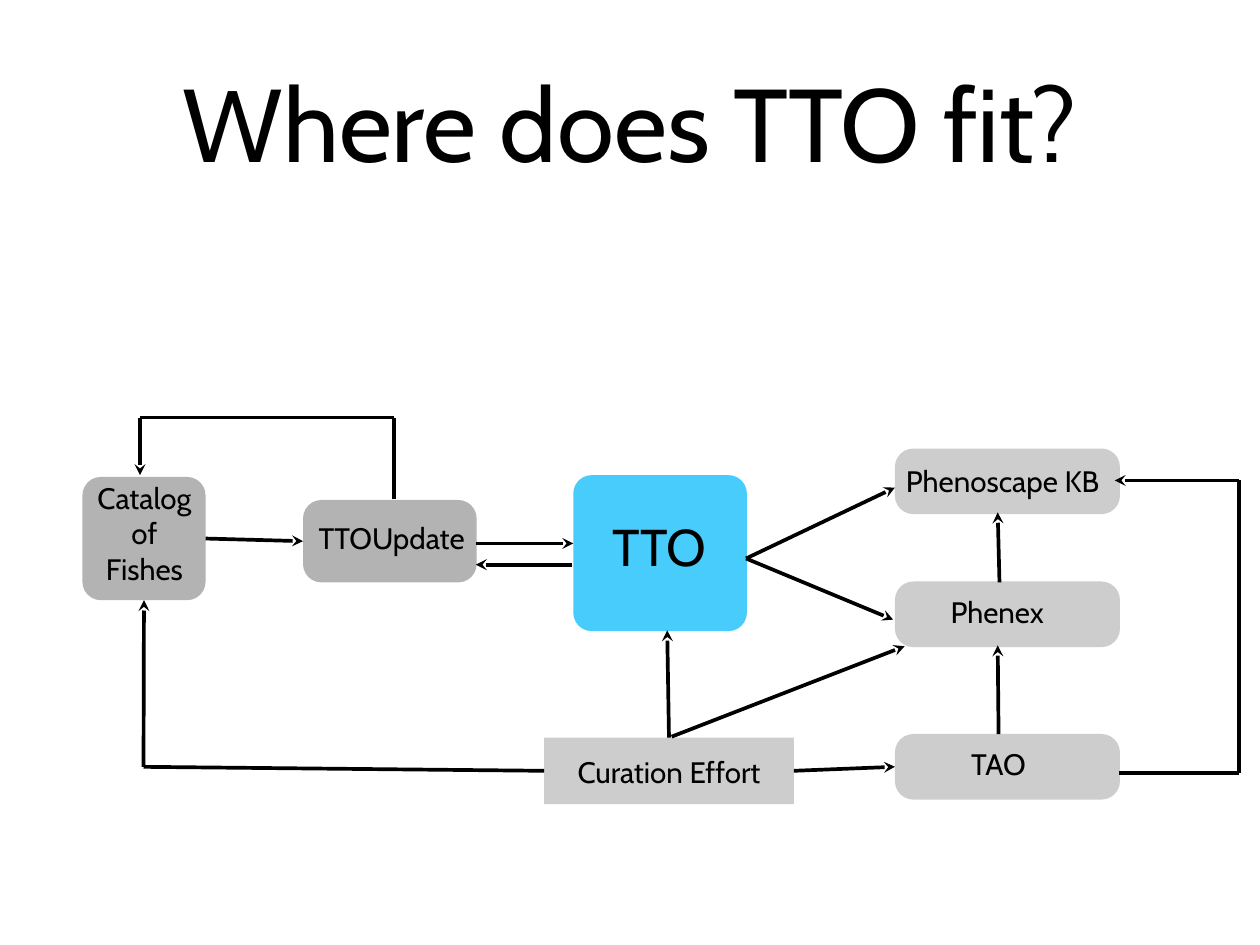
from pptx import Presentation
from pptx.dml.color import RGBColor
from pptx.enum.shapes import MSO_CONNECTOR, MSO_SHAPE
from pptx.enum.text import MSO_ANCHOR, MSO_AUTO_SIZE, PP_ALIGN
from pptx.oxml.ns import qn
from pptx.util import Inches, Pt
from lxml import etree

ROUND, RECT = MSO_SHAPE.ROUNDED_RECTANGLE, MSO_SHAPE.RECTANGLE
STRAIGHT = MSO_CONNECTOR.STRAIGHT
MIDDLE, CENTER = MSO_ANCHOR.MIDDLE, PP_ALIGN.CENTER
NO_FIT = MSO_AUTO_SIZE.NONE
TOP, LEFT, BOTTOM, RIGHT = range(4)
DARK, LIGHT, BLUE = "B3B3B3", "CDCDCD", "47CCFC"


def color(code):
    return RGBColor.from_string(code)


def write(frame, text, size=24, font="Cabin", ink="000000", inset=0, wrap=False):
    frame.auto_size = NO_FIT
    frame.word_wrap = wrap
    frame.vertical_anchor = MIDDLE
    frame.margin_left = frame.margin_right = Inches(inset)
    frame.margin_top = frame.margin_bottom = Inches(inset)
    frame.text = text
    for para in frame.paragraphs:
        para.alignment = CENTER
        para.font.size = Pt(size)
        para.font.name = font
        para.font.color.rgb = color(ink)


class Chart:
    """Flow diagram on one slide, with its shared style."""
    ink = "000000"
    width = 3
    radius = 0.208

    def __init__(self, slide):
        self.slide = slide
        self.shapes = slide.shapes

    def title(self, text, *area):
        head = self.shapes.title
        head.left, head.top, head.width, head.height = map(Inches, area)
        write(head.text_frame, text, size=84, inset=0.06, wrap=True)

    def box(self, area, fill, kind=ROUND):
        shape = self.shapes.add_shape(kind, *map(Inches, area))
        shape.shadow.inherit = False
        shape.fill.solid()
        shape.fill.fore_color.rgb = color(fill)
        shape.line.fill.background()
        if kind == ROUND:
            shape.adjustments[0] = self.radius / min(area[2:])
        return shape

    def label(self, text, area, size=24):
        box = self.shapes.add_textbox(*map(Inches, area))
        write(box.text_frame, text, size=size)

    def line(self, start, end, arrow):
        """Each end is an (x, y) pair or a (shape, side) pair."""
        glued = [not isinstance(end_, (int, float)) for end_, _ in (start, end)]
        spots = [(0, 0) if stuck else spot
                 for stuck, spot in zip(glued, (start, end))]
        link = self.shapes.add_connector(
            STRAIGHT, *(Inches(v) for spot in spots for v in spot))
        if glued[0]:
            link.begin_connect(*start)
        if glued[1]:
            link.end_connect(*end)
        link.line.color.rgb = color(self.ink)
        link.line.width = Pt(self.width)
        if arrow:
            tip = etree.SubElement(link.line._get_or_add_ln(), qn("a:tailEnd"))
            tip.set("type", "stealth")
        etree.SubElement(link._element.spPr, qn("a:effectLst"))

    def route(self, *stops):
        """Join the stops in turn, with an arrowhead at the last one."""
        last = len(stops) - 2
        for i, (start, end) in enumerate(zip(stops, stops[1:])):
            self.line(start, end, arrow=i == last)


def main():
    deck = Presentation()
    deck.slide_width, deck.slide_height = Inches(14.22), Inches(10.66)
    chart = Chart(deck.slides.add_slide(deck.slide_layouts[5]))
    chart.title("Where does TTO fit?", 1.39, 0.03, 11.44, 2.67)

    fish = chart.box((0.93, 5.38, 1.39, 1.39), DARK)
    update = chart.box((3.42, 5.64, 1.96, 0.93), DARK)
    chart.box((6.47, 5.36, 1.96, 1.76), BLUE)
    effort = chart.box((6.14, 8.32, 2.82, 0.75), LIGHT, RECT)
    _, _, tao = [chart.box((10.1, y, 2.54, 0.74), LIGHT)
                 for y in (5.06, 6.56, 8.28)]

    chart.label("Catalog\nof\nFishes", (1.03, 5.41, 1.2, 1.2))
    chart.label("TTO", (6.89, 5.81, 1.11, 0.7), size=42)
    for text, x, y, w in (
        ("TTOUpdate", 3.53, 5.86, 1.78),
        ("Phenoscape KB", 10.11, 5.22, 2.41),
        ("Phenex", 10.67, 6.7, 1.17),
        ("TAO", 10.94, 8.42, 0.66),
        ("Curation Effort", 6.39, 8.51, 2.32),
    ):
        chart.label(text, (x, y, w, 0.4))

    # Catalog, update and TTO
    chart.route((fish, RIGHT), (update, LEFT))
    chart.route((4.45, 5.63), (4.45, 4.71), (1.58, 4.71), (1.58, 5.36))
    chart.route((5.37, 6.13), (6.47, 6.13))
    chart.route((6.46, 6.37), (5.37, 6.37))

    # Curation effort
    chart.route((effort, LEFT), (1.62, 8.65), (fish, BOTTOM))
    chart.route((effort, TOP), (7.53, 7.11))
    chart.route((effort, RIGHT), (tao, LEFT))
    chart.route((7.58, 8.31), (10.21, 7.29))

    # Into Phenex and the knowledge base
    chart.route((8.42, 6.3), (10.1, 5.5))
    chart.route((8.42, 6.3), (10.08, 6.99))
    chart.route((11.27, 8.28), (11.26, 7.28))
    chart.route((11.28, 6.57), (11.26, 5.78))
    chart.route((12.63, 8.72), (13.98, 8.72), (13.98, 5.42), (12.58, 5.42))

    deck.save("out.pptx")


if __name__ == "__main__":
    main()
